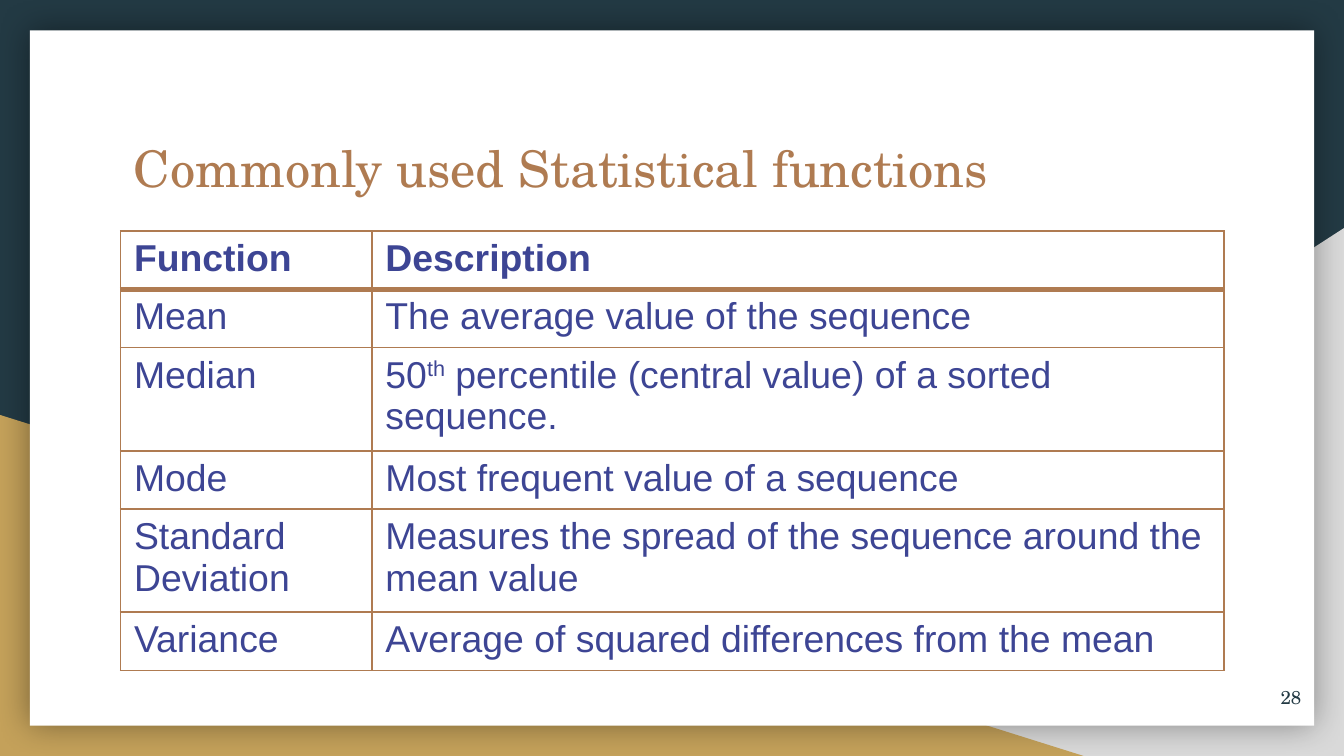
import lxml.etree
import pptx
import pptx.dml.color
import pptx.enum.shapes
import pptx.enum.text
import pptx.oxml.ns
import pptx.util

Pt = pptx.util.Pt
qn = pptx.oxml.ns.qn
SHAPE = pptx.enum.shapes.MSO_SHAPE
ALIGN = pptx.enum.text.PP_ALIGN
ANCHOR = pptx.enum.text.MSO_ANCHOR

COLORS = {
    "navy": "233A44",
    "gray": "D9D9D9",
    "gold": "C4A15A",
    "white": "FFFFFF",
    "brown": "AF7B51",
    "indigo": "3D4594",
    "black": "000000",
}

ROWS = [
    ("Function", "Description"),
    ("Mean", "The average value of the sequence"),
    ("Median", ("50", "^th", " percentile (central value) of a sorted sequence.")),
    ("Mode", "Most frequent value of a sequence"),
    ("Standard Deviation", "Measures the spread of the sequence around the mean value"),
    ("Variance", "Average of squared differences from the mean"),
]


def rgb(name):
    return pptx.dml.color.RGBColor.from_string(COLORS[name])


def add_run(p, text, *, font, size, color, bold=False):
    r = p.add_run()
    r.text = text.removeprefix("^")
    r.font.name, r.font.size, r.font.bold = font, Pt(size), bold
    r.font.color.rgb = rgb(color)
    if text.startswith("^"):
        r.font._element.set("baseline", "30000")


class Deck:
    serif = "TeX Gyre Schola"
    sans = "Arial"
    inset = 7.2

    def __init__(self, width, height):
        self.prs = pptx.Presentation()
        self.prs.slide_width, self.prs.slide_height = Pt(width), Pt(height)
        self.s = self.prs.slides.add_slide(self.prs.slide_layouts[6])

    def background(self, color):
        fill = self.s.background.fill
        fill.solid()
        fill.fore_color.rgb = rgb(color)

    def shape(self, kind, box, color, flip=False):
        sp = self.s.shapes.add_shape(kind, *map(Pt, box))
        sp.shadow.inherit = False
        sp.fill.solid()
        sp.fill.fore_color.rgb = rgb(color)
        sp.line.fill.background()
        if flip:
            sp._element.spPr.find(qn("a:xfrm")).set("flipH", "1")
        return sp

    def glow_shadow(self, sp, blur, alpha):
        effects = sp._element.spPr.find(qn("a:effectLst"))
        shadow = lxml.etree.SubElement(
            effects, qn("a:outerShdw"), blurRad=str(Pt(blur)), dist="0", dir="0",
            algn="ctr", rotWithShape="0")
        color = lxml.etree.SubElement(shadow, qn("a:srgbClr"), val=COLORS["black"])
        lxml.etree.SubElement(color, qn("a:alpha"), val=str(alpha * 1000))

    def text(self, text, box, size, color, align=ALIGN.LEFT, anchor=ANCHOR.TOP):
        tf = self.s.shapes.add_textbox(*map(Pt, box)).text_frame
        tf.word_wrap = True
        tf.vertical_anchor = anchor
        tf.margin_left = tf.margin_right = Pt(self.inset)
        tf.margin_top = tf.margin_bottom = Pt(self.inset)
        p = tf.paragraphs[0]
        p.alignment = align
        add_run(p, text, font=self.serif, size=size, color=color)

    def border(self, cell, side, color, width):
        tc_pr = cell._tc.get_or_add_tcPr()
        ln = lxml.etree.SubElement(tc_pr, qn(f"a:ln{side}"), w=str(Pt(width)))
        fill = lxml.etree.SubElement(ln, qn("a:solidFill"))
        lxml.etree.SubElement(fill, qn("a:srgbClr"), val=COLORS[color])

    def table(self, rows, box, col_widths, row_height, size):
        frame = self.s.shapes.add_table(len(rows), len(col_widths), *map(Pt, box))
        table = frame.table
        for column, width in zip(table.columns, col_widths):
            column.width = Pt(width)
        for i, row in enumerate(rows):
            table.rows[i].height = Pt(row_height)
            for j, content in enumerate(row):
                cell = table.cell(i, j)
                thick = {"B": 0, "T": 1}
                for side in "LRTB":
                    self.border(cell, side, "brown", 3 if thick.get(side) == i else 1)
                cell.fill.solid()
                cell.fill.fore_color.rgb = rgb("white")
                p = cell.text_frame.paragraphs[0]
                for part in (content,) if isinstance(content, str) else content:
                    add_run(p, part, font=self.sans, size=size, color="indigo", bold=i == 0)


def main():
    deck = Deck(720, 405)
    deck.background("navy")
    deck.shape(SHAPE.RIGHT_TRIANGLE, (282.4, 122.2, 437.6, 282.8), "gray", flip=True)
    deck.shape(SHAPE.RIGHT_TRIANGLE, (0, 222.3, 580.5, 182.7), "gold")
    card = deck.shape(SHAPE.RECTANGLE, (16, 16.2, 688, 372.5), "white")
    deck.glow_shadow(card, blur=18, alpha=40)
    deck.text("Commonly used Statistical functions", (64.6, 66.2, 591, 50.4), 27, "brown")
    deck.text("28", (661, 358, 43.2, 31), 10, "navy", ALIGN.RIGHT, ANCHOR.MIDDLE)
    deck.table(ROWS, (64.6, 123.8, 591, 235.4), (134.7, 456.3), 29.5, 20)
    deck.prs.save("out.pptx")


if __name__ == "__main__":
    main()
